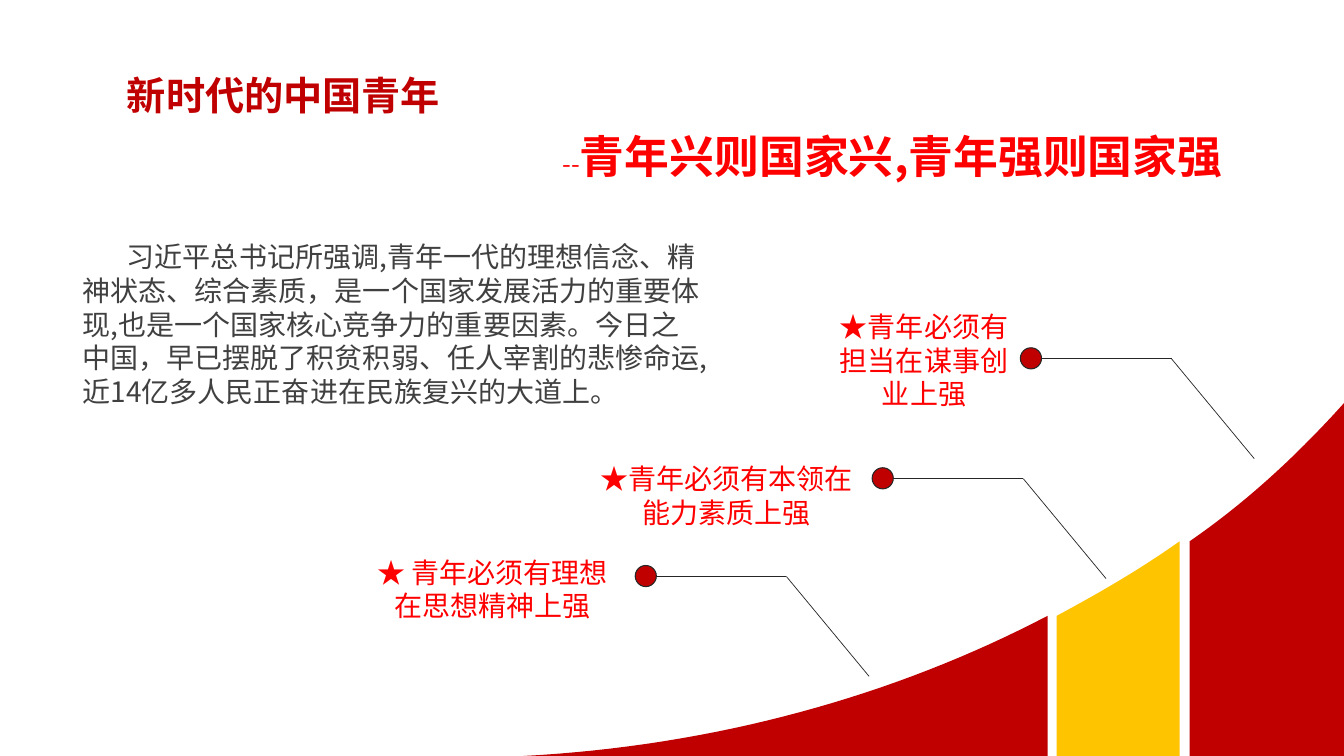
from dataclasses import dataclass

from lxml.etree import SubElement
from pptx import Presentation
from pptx.dml.color import RGBColor
from pptx.enum.shapes import MSO_CONNECTOR, MSO_SHAPE
from pptx.enum.text import MSO_AUTO_SIZE, PP_ALIGN
from pptx.oxml.ns import qn
from pptx.slide import Slide
from pptx.text.text import _Paragraph
from pptx.util import Pt

PX = 9144
WIDE, HIGH = 1333, 750
STEPS = 32
FACE = "Noto Sans CJK SC"
CRIMSON, GOLD, RED = "C00000", "FFC400", "FF0000"
DARK, GREY = "262626", "404040"
DOT = 21
Point = tuple[int, int]


@dataclass
class Band:
    curve: tuple[Point, Point, Point, Point]
    fill: str


@dataclass
class Run:
    text: str
    size: int
    color: str
    bold: bool = False
    face: str = FACE


@dataclass
class Label:
    box: tuple[int, int, int, int]
    runs: list[Run]
    align: PP_ALIGN = PP_ALIGN.LEFT
    grow: bool = True
    indent: int = 0


@dataclass
class Callout:
    dot: Point
    box: tuple[int, int, int, int]
    text: str


BANDS = [
    Band(((519, 750), (710, 740), (888, 690), (1039, 611)), CRIMSON),
    Band(((1048, 611), (1091, 588), (1132, 564), (1170, 537)), GOLD),
    Band(((1180, 537), (1238, 497), (1288, 450), (1333, 400)), CRIMSON),
]
CALLOUTS = [
    Callout((865, 464), (581, 453, 279, 77), "★青年必须有本领在能力素质上强"),
    Callout((630, 561), (352, 546, 273, 77), "★ 青年必须有理想在思想精神上强"),
    Callout((1012, 345), (814, 302, 205, 111), "★青年必须有担当在谋事创业上强"),
]
BODY = (
    "习近平总书记所强调,青年一代的理想信念、精神状态、综合素质，"
    "是一个国家发展活力的重要体现,也是一个国家核心竞争力的重要因素。"
    "今日之中国，早已摆脱了积贫积弱、任人宰割的悲惨命运,"
    "近14亿多人民正奋进在民族复兴的大道上。"
)
LABELS = [
    Label((72, 233, 633, 183), [Run(BODY, 20, GREY)], grow=False, indent=44),
    Label((116, 66, 348, 57), [Run("新时代的中国青年", 28, CRIMSON, True, "Arial")]),
    Label((548, 123, 712, 64), [
        Run("--", 18, RED),
        Run("青年兴则国家兴,青年强则国家强", 32, RED, True),
    ]),
]


def paint(color: str) -> RGBColor:
    return RGBColor.from_string(color)


def bend(curve: tuple[Point, Point, Point, Point], t: float) -> Point:
    u = 1 - t
    parts = (u**3, 3 * u * u * t, 3 * u * t * t, t**3)
    x, y = (sum(w * p[i] for w, p in zip(parts, curve)) for i in (0, 1))
    return round(x * PX), round(y * PX)


def draw_band(slide: Slide, band: Band) -> None:
    edge = [bend(band.curve, n / STEPS) for n in range(STEPS + 1)]
    base = HIGH * PX
    path = slide.shapes.build_freeform(*edge[0])
    path.add_line_segments(edge[1:] + [(edge[-1][0], base), (edge[0][0], base)])
    shape = path.convert_to_shape()
    shape.shadow.inherit = False
    shape.fill.solid()
    shape.fill.fore_color.rgb = paint(band.fill)
    shape.line.fill.background()


def add_run(para: _Paragraph, item: Run) -> None:
    run = para.add_run()
    run.text = item.text
    font = run.font
    font.size, font.bold, font.name = Pt(item.size), item.bold, item.face
    font.color.rgb = paint(item.color)
    SubElement(run._r.get_or_add_rPr(), qn("a:ea"), typeface=FACE)


def draw_label(slide: Slide, label: Label) -> None:
    frame = slide.shapes.add_textbox(*(n * PX for n in label.box)).text_frame
    frame.word_wrap = True
    frame.auto_size = (
        MSO_AUTO_SIZE.SHAPE_TO_FIT_TEXT if label.grow else MSO_AUTO_SIZE.NONE
    )
    para = frame.paragraphs[0]
    para.alignment = label.align
    if label.indent:
        para._p.get_or_add_pPr().set("indent", str(label.indent * PX))
    for item in label.runs:
        add_run(para, item)


def draw_line(slide: Slide, start: Point, end: Point) -> None:
    ends = (n * PX for n in start + end)
    line = slide.shapes.add_connector(MSO_CONNECTOR.STRAIGHT, *ends)
    line.line.color.rgb = paint(DARK)
    line.line.width = Pt(0.5)
    SubElement(line._element.spPr, qn("a:effectLst"))


def draw_callout(slide: Slide, call: Callout) -> None:
    x, y = call.dot
    dot = slide.shapes.add_shape(
        MSO_SHAPE.OVAL, x * PX, y * PX, DOT * PX, DOT * PX
    )
    dot.shadow.inherit = False
    dot.fill.solid()
    dot.fill.fore_color.rgb = paint(CRIMSON)
    dot.line.color.rgb = paint(DARK)
    dot.line.width = Pt(0.75)
    elbow = (x + 150, y + 11)
    draw_line(slide, (x + 232, y + 110), elbow)
    draw_line(slide, elbow, (x + DOT, y + 11))
    draw_label(slide, Label(call.box, [Run(call.text, 20, RED)], PP_ALIGN.CENTER))


def main() -> None:
    """Build the slide on the youth of the new era and save it."""
    deck = Presentation()
    deck.slide_width, deck.slide_height = WIDE * PX, HIGH * PX
    slide = deck.slides.add_slide(deck.slide_layouts[6])
    for band in BANDS:
        draw_band(slide, band)
    for call in CALLOUTS:
        draw_callout(slide, call)
    for label in LABELS:
        draw_label(slide, label)
    deck.save("out.pptx")


if __name__ == "__main__":
    main()
